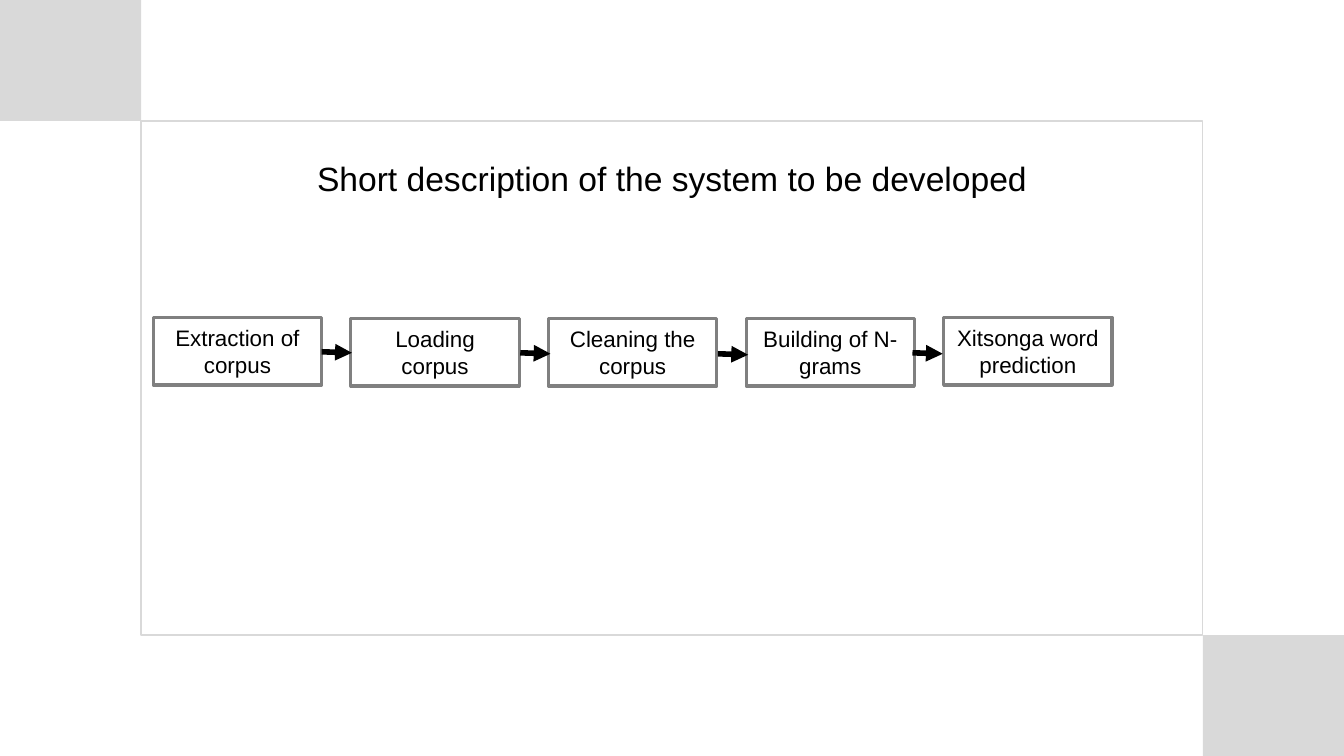
"""Build a slide showing the five steps of a word prediction system."""
from lxml import etree
from pptx import Presentation
from pptx.dml.color import RGBColor
from pptx.enum.shapes import MSO_CONNECTOR, MSO_SHAPE
from pptx.enum.text import MSO_ANCHOR, PP_ALIGN
from pptx.oxml.ns import qn
from pptx.util import Inches, Pt

RECTANGLE = MSO_SHAPE.RECTANGLE
STRAIGHT = MSO_CONNECTOR.STRAIGHT
MIDDLE, TOP = MSO_ANCHOR.MIDDLE, MSO_ANCHOR.TOP
CENTER = PP_ALIGN.CENTER

THEME = {
    "font": "Arial",
    "ink": RGBColor(0x00, 0x00, 0x00),
    "frame": RGBColor(0xD9, 0xD9, 0xD9),
    "border": RGBColor(0x80, 0x80, 0x80),
    "title_size": 24,
    "step_size": 16,
}

SLIDE_W, SLIDE_H = 13.33, 7.5
MARGIN_X, MARGIN_Y = 1.4, 1.2
FRAME_W, FRAME_H = SLIDE_W - 2 * MARGIN_X, SLIDE_H - 2 * MARGIN_Y
STEP_LEFT, STEP_PITCH, STEP_W, STEP_H = 1.52, 1.96, 1.67, 0.67
ARROW_W, ARROW_DROP = 0.3, 0.01

STEPS = [
    ("Extraction of corpus", 3.15),
    ("Loading corpus", 3.16),
    ("Cleaning the corpus", 3.16),
    ("Building of N-grams", 3.16),
    ("Xitsonga word prediction", 3.15),
]
ARROW_STARTS = [(3.19, 3.49), (5.16, 3.5), (7.12, 3.51), (9.05, 3.5)]


def write_text(holder, text, size, anchor=TOP):
    frame = holder.text_frame
    frame.word_wrap = True
    frame.vertical_anchor = anchor
    paragraph = frame.paragraphs[0]
    paragraph.alignment = CENTER
    run = paragraph.add_run()
    run.text = text
    run.font.name = THEME["font"]
    run.font.size = Pt(size)
    run.font.color.rgb = THEME["ink"]


def add_box(left, top, width, height, fill=None, line=None, line_width=1):
    box = slide.shapes.add_shape(
        RECTANGLE, Inches(left), Inches(top), Inches(width), Inches(height))
    box.shadow.inherit = False
    if fill is None:
        box.fill.background()
    else:
        box.fill.solid()
        box.fill.fore_color.rgb = fill
    if line is None:
        box.line.fill.background()
    else:
        box.line.color.rgb = line
        box.line.width = Pt(line_width)
    return box


deck = Presentation()
deck.slide_width, deck.slide_height = Inches(SLIDE_W), Inches(SLIDE_H)
slide = deck.slides.add_slide(deck.slide_layouts[6])

add_box(MARGIN_X, MARGIN_Y, FRAME_W, FRAME_H, line=THEME["frame"])
for left, top in [(0, 0), (SLIDE_W - MARGIN_X, SLIDE_H - MARGIN_Y)]:
    add_box(left, top, MARGIN_X, MARGIN_Y, fill=THEME["frame"])

title = slide.shapes.add_textbox(
    Inches(MARGIN_X), Inches(1.52), Inches(FRAME_W), Inches(0.5))
write_text(title, "Short description of the system to be developed",
           size=THEME["title_size"])

for index, (label, top) in enumerate(STEPS):
    step = add_box(STEP_LEFT + index * STEP_PITCH, top, STEP_W, STEP_H,
                   line=THEME["border"], line_width=2.25)
    write_text(step, label, size=THEME["step_size"], anchor=MIDDLE)

for x, y in ARROW_STARTS:
    arrow = slide.shapes.add_connector(
        STRAIGHT, Inches(x), Inches(y), Inches(x + ARROW_W), Inches(y + ARROW_DROP))
    arrow.line.color.rgb = THEME["ink"]
    arrow.line.width = Pt(4)
    etree.SubElement(arrow.line._get_or_add_ln(), qn("a:tailEnd"), type="triangle")
    etree.SubElement(arrow._element.spPr, qn("a:effectLst"))

deck.save("out.pptx")
